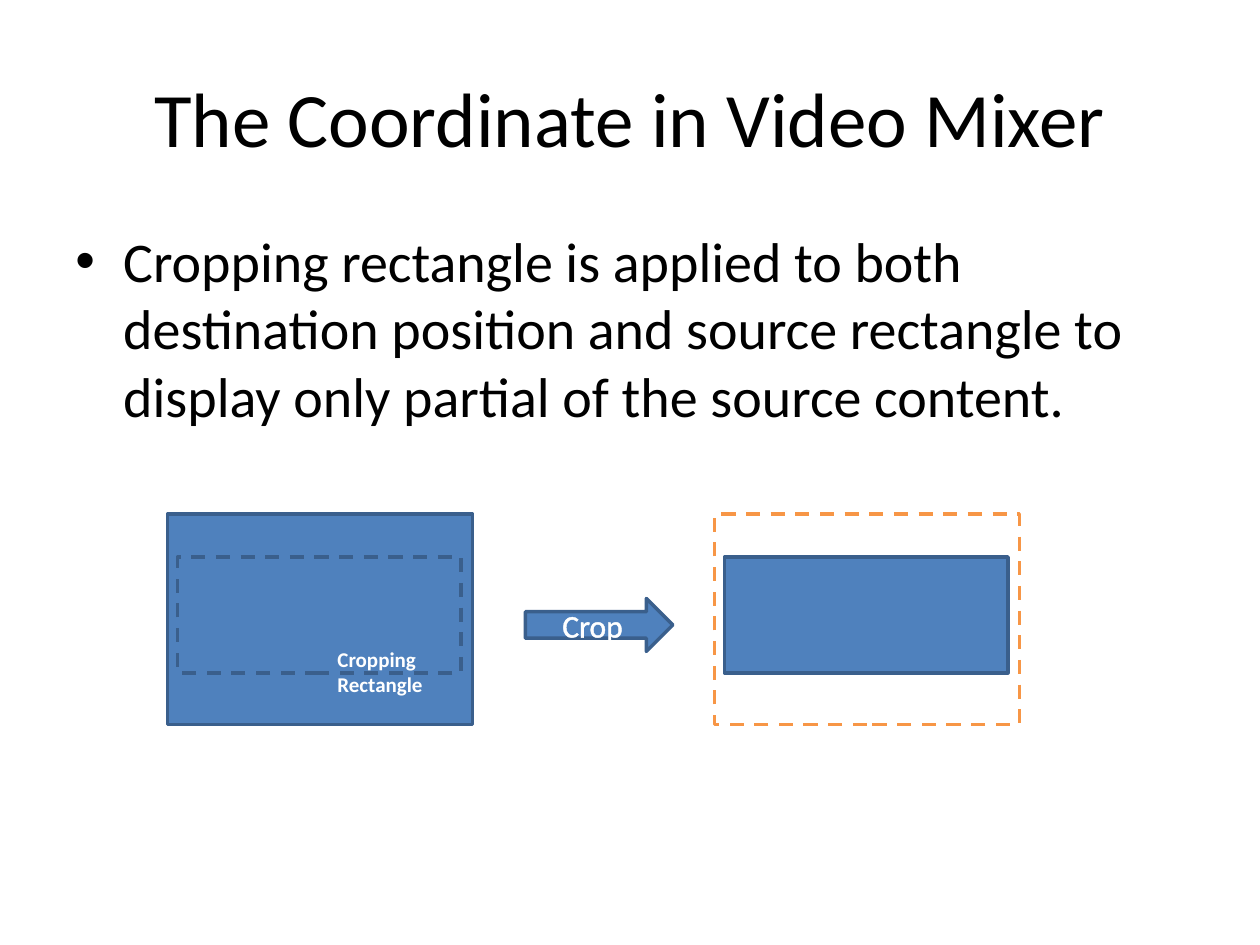
from lxml.etree import SubElement, Element
from pptx import Presentation
from pptx.dml.color import RGBColor
from pptx.enum.dml import MSO_LINE_DASH_STYLE as Dash
from pptx.enum.shapes import MSO_SHAPE as Shape
from pptx.enum.text import MSO_ANCHOR as Anchor, PP_ALIGN as Align
from pptx.oxml.ns import qn
from pptx.util import Inches, Pt

COLORS = {"text": "000000", "light": "FFFFFF", "blue": "4F81BD",
          "edge": "3A5F8C", "orange": "F79646"}


def rgb(name):
    return RGBColor.from_string(COLORS[name])


class SlideBuilder:
    font = "Calibri"
    line_width = Pt(2)

    def __init__(self, slide):
        self.slide = slide

    def set_text(self, frame, text, size, color="text", bold=False,
                 align=Align.LEFT, anchor=Anchor.TOP):
        frame.word_wrap = True
        frame.vertical_anchor = anchor
        paragraph = frame.paragraphs[0]
        paragraph.text = text
        paragraph.alignment = align
        font = paragraph.runs[0].font
        font.name, font.size, font.bold = self.font, Pt(size), bold
        font.color.rgb = rgb(color)
        return paragraph

    def text(self, box, text, size, **style):
        frame = self.slide.shapes.add_textbox(*map(Inches, box)).text_frame
        return self.set_text(frame, text, size, **style)

    def bullet(self, box, text, size):
        paragraph = self.text(box, text, size)
        paragraph.space_before = Pt(size * 0.2)
        props = paragraph._p.get_or_add_pPr()
        indent = Inches(0.38)
        props.set("marL", str(indent))
        props.set("indent", str(-indent))
        SubElement(props, qn("a:buFont"), typeface="Arial")
        SubElement(props, qn("a:buChar"), char="•")

    def shape(self, box, kind=Shape.RECTANGLE, fill=None, line="edge", dashed=False):
        shape = self.slide.shapes.add_shape(kind, *map(Inches, box))
        shape.shadow.inherit = False
        if fill:
            shape.fill.solid()
            shape.fill.fore_color.rgb = rgb(fill)
        else:
            shape.fill.background()
        shape.line.color.rgb = rgb(line)
        shape.line.width = self.line_width
        if dashed:
            shape.line.dash_style = Dash.DASH
        return shape

    def outline_text(self, paragraph, color, width):
        outline = Element(qn("a:ln"), w=str(Pt(width)))
        fill = SubElement(outline, qn("a:solidFill"))
        SubElement(fill, qn("a:srgbClr"), val=COLORS[color])
        paragraph.runs[0]._r.get_or_add_rPr().insert(0, outline)


deck = Presentation()
deck.slide_width, deck.slide_height = Inches(10), Inches(7.5)
builder = SlideBuilder(deck.slides.add_slide(deck.slide_layouts[6]))

# Heading and explanation
builder.text((0.5, 0.3, 9, 1.25), "The Coordinate in Video Mixer", 44,
             align=Align.CENTER, anchor=Anchor.MIDDLE)
builder.bullet((0.5, 1.75, 9, 4.95),
               "Cropping rectangle is applied to both destination position and "
               "source rectangle to display only partial of the source content.", 32)

# Frames before and after cropping
source_left, result_left, frame_top = 1.33, 5.67, 4.08
frame_size, crop_size = (2.42, 1.67), (2.25, 0.92)
crop_dx, crop_top = 0.08, 4.42
builder.shape((source_left, frame_top, *frame_size), fill="blue")
builder.shape((result_left, frame_top, *frame_size), line="orange", dashed=True)
builder.shape((result_left + crop_dx, crop_top, *crop_size), fill="blue")

# Crop step
arrow = builder.shape((4.17, 4.75, 1.17, 0.42), Shape.RIGHT_ARROW, fill="blue")
crop_label = builder.set_text(arrow.text_frame, "Crop", 18, color="light",
                              align=Align.CENTER, anchor=Anchor.MIDDLE)
builder.outline_text(crop_label, "light", 1.45)

# Cropping rectangle on the source
builder.shape((source_left + crop_dx, crop_top, *crop_size), dashed=True)
builder.text((2.58, 5.08, 1.17, 0.5), "Cropping Rectangle", 12,
             color="light", bold=True)

deck.save("out.pptx")
